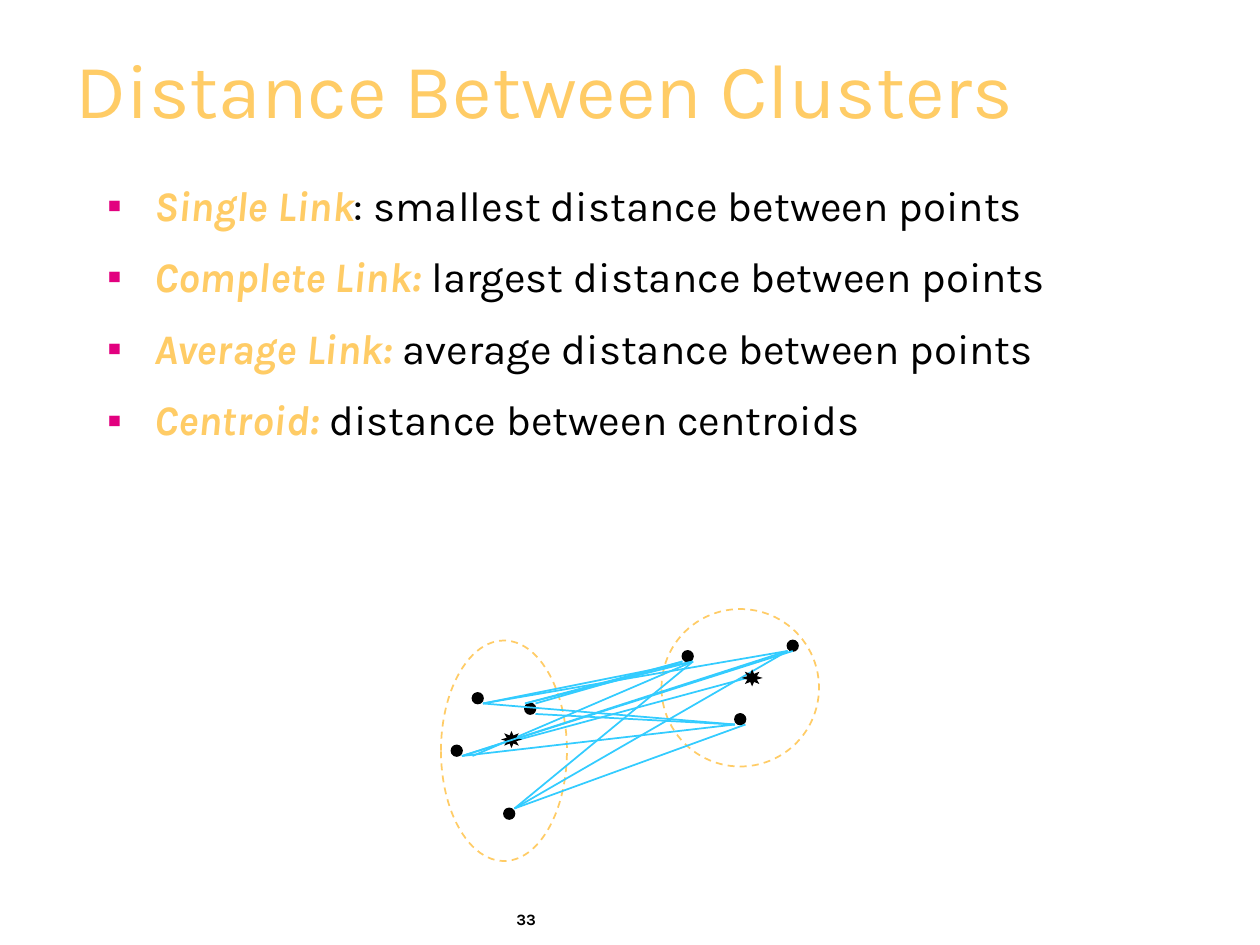
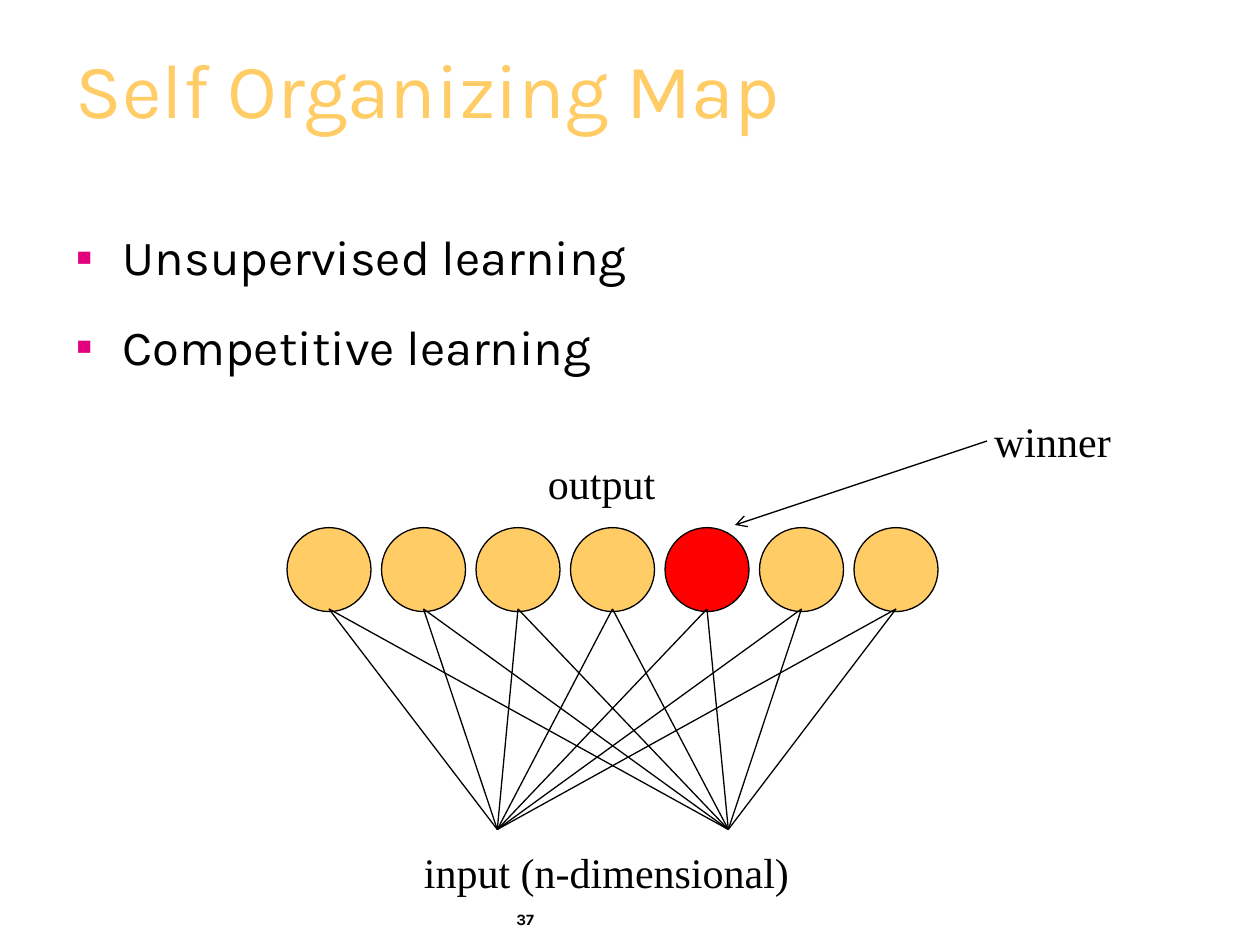
from dataclasses import dataclass
from itertools import product
from lxml.etree import SubElement
from pptx import Presentation
from pptx.dml.color import RGBColor
from pptx.enum.dml import MSO_LINE
from pptx.enum.shapes import MSO_CONNECTOR, MSO_SHAPE
from pptx.enum.text import MSO_ANCHOR, MSO_AUTO_SIZE, PP_ALIGN
from pptx.oxml.ns import qn
from pptx.util import Pt


@dataclass(frozen=True)
class Theme:
    gold: RGBColor = RGBColor(0xFF, 0xCC, 0x66)
    black: RGBColor = RGBColor(0, 0, 0)
    red: RGBColor = RGBColor(0xFF, 0, 0)
    sky: RGBColor = RGBColor(0x33, 0xCC, 0xFF)
    pink: str = "E2007F"
    sans: str = "Karla"
    serif: str = "Times New Roman"
    head: int = 44
    label: int = 24
    foot: int = 9
    thin: float = 0.75
    thick: float = 1


theme = Theme()


def add_form(slide, kind, box, fill, line, width):
    form = slide.shapes.add_shape(kind, *map(Pt, box))
    form.shadow.inherit = False
    if fill is None:
        form.fill.background()
    else:
        form.fill.solid()
        form.fill.fore_color.rgb = fill
    form.line.color.rgb = line
    form.line.width = Pt(width)
    return form


def add_line(slide, ends, color, width):
    line = slide.shapes.add_connector(MSO_CONNECTOR.STRAIGHT, *map(Pt, ends))
    line.line.color.rgb = color
    line.line.width = Pt(width)
    SubElement(line._element.spPr, qn("a:effectLst"))
    return line


deck = Presentation()
deck.slide_width, deck.slide_height = Pt(720), Pt(540)

pages = [
    ("Distance Between Clusters", (54, 102, 612, 189), 24, 15, 0.9, [
        ("Single Link", ": smallest distance between points"),
        ("Complete Link:", " largest distance between points"),
        ("Average Link: ", "average distance between points"),
        ("Centroid: ", "distance between centroids"),
    ]),
    ("Self Organizing Map", (36, 126, 654, 124), 28, 17.5, 1.0, [
        ("", "Unsupervised learning"),
        ("", "Competitive learning"),
    ]),
]
for name, box, size, gap, pitch, items in pages:
    slide = deck.slides.add_slide(deck.slide_layouts[1])
    title, body = slide.placeholders
    for holder, place in ((title, (36, 18, 654, 72)), (body, box)):
        holder.left, holder.top, holder.width, holder.height = map(Pt, place)
        holder.text_frame.auto_size = MSO_AUTO_SIZE.NONE
    title.text_frame.text = name
    title.text_frame.vertical_anchor = MSO_ANCHOR.MIDDLE
    para = title.text_frame.paragraphs[0]
    para.alignment = PP_ALIGN.LEFT
    para.line_spacing = 0.85
    font = para.runs[0].font
    font.name, font.size = theme.sans, Pt(theme.head)
    font.color.rgb = theme.gold

    frame = body.text_frame
    for i, (term, rest) in enumerate(items):
        para = frame.add_paragraph() if i else frame.paragraphs[0]
        para.line_spacing = pitch
        para.space_before = Pt(gap if i else 0)
        props = para._p.get_or_add_pPr()
        props.set("marL", str(Pt(27)))
        props.set("indent", str(Pt(-27)))
        tint = SubElement(props, qn("a:buClr"))
        SubElement(tint, qn("a:srgbClr"), val=theme.pink)
        SubElement(props, qn("a:buChar"), char="▪")
        for text, color, strong in ((term, theme.gold, True), (rest, theme.black, False)):
            if text:
                run = para.add_run()
                run.text = text
                run.font.name, run.font.size = theme.sans, Pt(size)
                run.font.bold = run.font.italic = strong
                run.font.color.rgb = color

links, som = deck.slides

dots = [(270, 396), (300, 402), (288, 462), (258, 426), (420, 408), (390, 372), (450, 366)]
for x, y in dots:
    add_form(links, MSO_SHAPE.OVAL, (x, y, 6, 6), theme.black, theme.black, theme.thick)

for box in ((252, 366, 72, 126), (378, 348, 90, 90)):
    ring = add_form(links, MSO_SHAPE.OVAL, box, None, theme.gold, theme.thick)
    ring.line.dash_style = MSO_LINE.DASH

rays = [
    (306, 402, 390, 378), (264, 432, 453, 372), (276, 402, 396, 378),
    (270, 432, 396, 378), (294, 462, 396, 378), (420, 414, 276, 402),
    (420, 414, 306, 408), (420, 414, 264, 432), (426, 414, 294, 462),
    (450, 372, 276, 402), (450, 372, 294, 462), (300, 402, 390, 378),
    (296.6, 422.6, 427, 387.4),
]
for ends in rays:
    add_line(links, ends, theme.sky, theme.thick)

for x, y in ((425.5, 383.8), (288, 419)):
    sun = add_form(links, MSO_SHAPE.SUN, (x, y, 8.6, 7.2), theme.black, theme.black, theme.thick)
    SubElement(sun.line._get_or_add_ln(), qn("a:miter"), lim="800000")

for ends in ((396, 378, 300, 402), (264, 432, 450, 372)):
    add_line(links, ends, theme.sky, theme.thick)

count, first, step, side, winner = 7, 164, 54, 48, 4
for i in range(count):
    fill = theme.red if i == winner else theme.gold
    box = (first + i * step, 301.5, side, side)
    add_form(som, MSO_SHAPE.OVAL, box, fill, theme.black, theme.thin)

for end, i in product((284.2, 416.2), range(count)):
    start = first + side / 2 + i * step
    add_line(som, (start, 348, end, 474), theme.black, theme.thin)

arrow = add_line(som, (420, 300, 564, 252), theme.black, theme.thin)
SubElement(arrow.line._get_or_add_ln(), qn("a:headEnd"), type="arrow")

labels = [
    ("output", (306, 258, 76, 36)),
    ("input (n-dimensional)", (235.2, 480, 223.2, 36)),
    ("winner", (561, 234, 82, 36)),
]
notes = [(som, text, box, theme.serif, theme.label, False) for text, box in labels]
notes += [
    (slide, text, (288, 516.5, 73.4, 24), theme.sans, theme.foot, True)
    for slide, text in ((links, "33"), (som, "37"))
]
for slide, text, box, face, size, bold in notes:
    frame = slide.shapes.add_textbox(*map(Pt, box)).text_frame
    frame.word_wrap = bold
    frame.auto_size = MSO_AUTO_SIZE.NONE if bold else MSO_AUTO_SIZE.SHAPE_TO_FIT_TEXT
    frame.text = text
    font = frame.paragraphs[0].runs[0].font
    font.name, font.size, font.bold = face, Pt(size), bold
    font.color.rgb = theme.black

deck.save("out.pptx")
